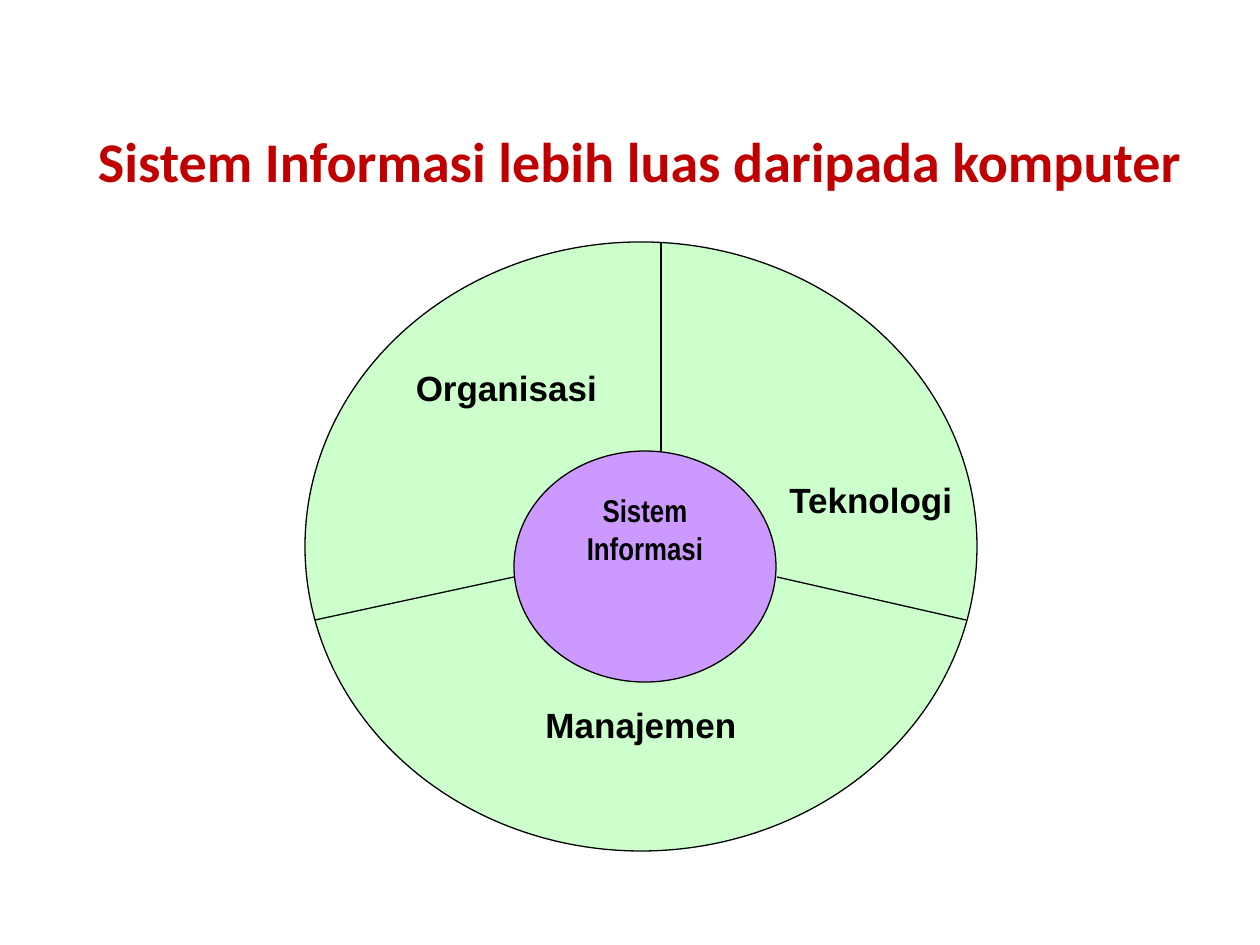
"""Build a slide showing information systems as wider than computers."""
from dataclasses import dataclass
from typing import Any

import pptx
import pptx.dml.color
import pptx.enum.shapes
import pptx.enum.text
import pptx.oxml.ns
import pptx.util
from lxml import etree

PX = 914400 / 126
ALIGN = pptx.enum.text.PP_ALIGN
ANCHOR = pptx.enum.text.MSO_ANCHOR


@dataclass(frozen=True)
class Style:
    font: str
    size: int
    color: str


@dataclass(frozen=True)
class Theme:
    ring: str = "CCFFCC"
    core: str = "CC99FF"
    line: str = "000000"
    line_width: float = 0.75
    title: Style = Style("Calibri", 32, "C00000")
    label: Style = Style("Arial", 20, "000000")
    core_label: Style = Style("Arial Narrow", 18, "000000")


@dataclass(frozen=True)
class Box:
    left: int
    top: int
    width: int
    height: int


@dataclass(frozen=True)
class Line:
    text: str
    align: Any = ALIGN.CENTER
    before: int = 0


@dataclass(frozen=True)
class Disc:
    box: Box
    fill: str
    style: Style
    lines: tuple[Line, ...]
    inset_top: int = 6


@dataclass(frozen=True)
class Divider:
    x1: int
    y1: int
    x2: int
    y2: int


THEME = Theme()
TITLE = Box(73, 81, 1134, 158)
TECHNOLOGY = Box(777, 472, 190, 54)
DISCS = (
    Disc(Box(305, 242, 672, 609), THEME.ring, THEME.label,
         (Line("Organisasi", ALIGN.LEFT), Line("Manajemen", before=295)), 35),
    Disc(Box(514, 451, 262, 231), THEME.core, THEME.core_label,
         (Line("Sistem"), Line("Informasi"))),
)
DIVIDERS = (
    Divider(514, 577, 315, 620),
    Divider(777, 577, 966, 620),
    Divider(661, 451, 661, 242),
)


def px(value: int) -> pptx.util.Emu:
    """Turn pixels into EMU."""
    return pptx.util.Emu(round(value * PX))


def place(box: Box) -> tuple[pptx.util.Emu, ...]:
    """Return a box as left, top, width and height in EMU."""
    return px(box.left), px(box.top), px(box.width), px(box.height)


def rgb(color: str) -> pptx.dml.color.RGBColor:
    """Return a colour from its hex name."""
    return pptx.dml.color.RGBColor.from_string(color)


def write(tf: Any, lines: tuple[Line, ...], style: Style, anchor: Any) -> None:
    """Write one bold run per paragraph."""
    tf.vertical_anchor = anchor
    tf.auto_size = pptx.enum.text.MSO_AUTO_SIZE.NONE
    for i, line in enumerate(lines):
        p = tf.add_paragraph() if i else tf.paragraphs[0]
        p.alignment = line.align
        if line.before:
            p.space_before = px(line.before)
        r = p.add_run()
        r.text = line.text
        r.font.name = style.font
        r.font.size = pptx.util.Pt(style.size)
        r.font.bold = True
        r.font.color.rgb = rgb(style.color)


def outline(sp: Any) -> None:
    """Give a shape or connector the thin line of the theme."""
    sp.line.color.rgb = rgb(THEME.line)
    sp.line.width = pptx.util.Pt(THEME.line_width)


def add_title(s: Any, text: str) -> None:
    """Fill and move the title placeholder."""
    sp = s.shapes.title
    sp.left, sp.top, sp.width, sp.height = place(TITLE)
    write(sp.text_frame, (Line(text),), THEME.title, ANCHOR.MIDDLE)


def add_disc(s: Any, disc: Disc) -> None:
    """Draw an ellipse with its labels."""
    sp = s.shapes.add_shape(pptx.enum.shapes.MSO_SHAPE.OVAL, *place(disc.box))
    sp.shadow.inherit = False
    sp.fill.solid()
    sp.fill.fore_color.rgb = rgb(disc.fill)
    outline(sp)
    tf = sp.text_frame
    tf.word_wrap = True
    tf.margin_top = px(disc.inset_top)
    write(tf, disc.lines, disc.style, ANCHOR.TOP)


def add_label(s: Any, box: Box, text: str) -> None:
    """Add a single-line label."""
    tf = s.shapes.add_textbox(*place(box)).text_frame
    tf.word_wrap = False
    write(tf, (Line(text, ALIGN.LEFT),), THEME.label, ANCHOR.TOP)


def add_divider(s: Any, d: Divider) -> None:
    """Draw a straight line between two sectors."""
    sp = s.shapes.add_connector(pptx.enum.shapes.MSO_CONNECTOR.STRAIGHT,
                                px(d.x1), px(d.y1), px(d.x2), px(d.y2))
    outline(sp)
    etree.SubElement(sp._element.spPr, pptx.oxml.ns.qn("a:effectLst"))


def main() -> None:
    """Build and save the slide."""
    prs = pptx.Presentation()
    prs.slide_width, prs.slide_height = px(1260), px(945)
    s = prs.slides.add_slide(prs.slide_layouts[5])
    add_title(s, "Sistem Informasi lebih luas daripada komputer")
    for disc in DISCS:
        add_disc(s, disc)
    add_label(s, TECHNOLOGY, "Teknologi")
    for divider in DIVIDERS:
        add_divider(s, divider)
    prs.save("out.pptx")


if __name__ == "__main__":
    main()
